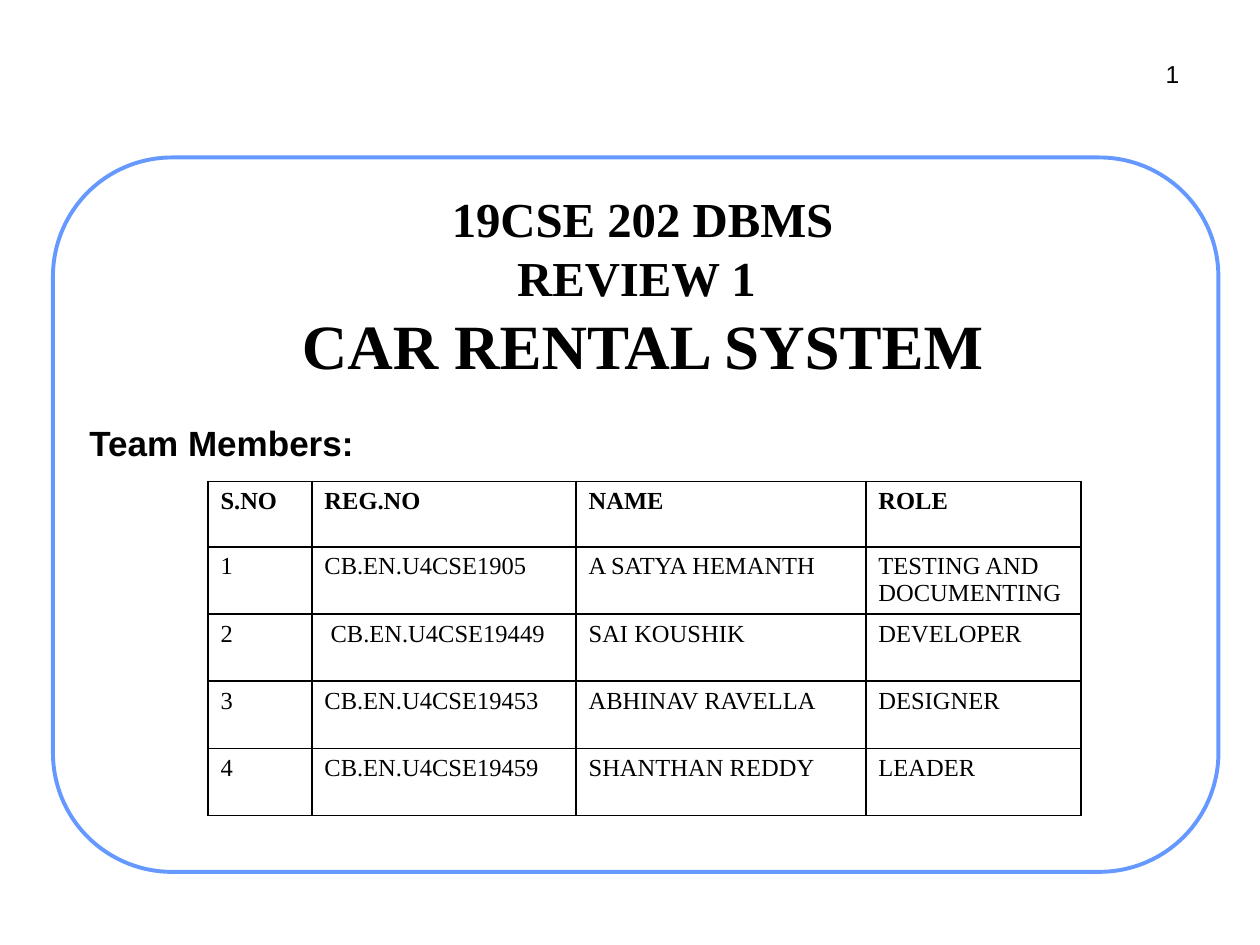
import copy
from lxml import etree
from pptx import Presentation
from pptx import util as u
from pptx.dml import color as c
from pptx.enum import shapes, text
from pptx.oxml import ns

Pt = u.Pt
hues = {"ink": "000000", "paper": "FFFFFF", "frame": "6699FF"}

deck = Presentation()
deck.slide_width, deck.slide_height = Pt(720), Pt(540)
slide = deck.slides.add_slide(deck.slide_layouts[5])
title = slide.shapes.title


def add_run(para, words, size, face, bold=False):
    run = para.add_run()
    run.text = words
    font = run.font
    font.size, font.name, font.bold = Pt(size), face, bold
    font.color.rgb = c.RGBColor.from_string(hues["ink"])
    return run


def set_box(frame, wrap=True):
    frame.word_wrap = wrap
    frame.auto_size = text.MSO_AUTO_SIZE.NONE
    frame.margin_left = frame.margin_right = Pt(3.6)
    frame.margin_top = frame.margin_bottom = Pt(3.6)
    return frame.paragraphs[0]


kinds = shapes.MSO_SHAPE
panels = [
    (kinds.ROUNDED_RECTANGLE, (30.24, 90, 666, 408.24), "frame", 2.25),
    (kinds.RECTANGLE, (102.24, 23.76, 540, 36), "paper", 0.75),
    (kinds.RECTANGLE, (36, 156.24, 637.92, 298.08), None, 0),
]
for kind, place, hue, width in panels:
    panel = slide.shapes.add_shape(kind, *map(Pt, place))
    panel.shadow.inherit = False
    panel.fill.solid()
    panel.fill.fore_color.rgb = c.RGBColor.from_string(hues["paper"])
    if hue:
        panel.line.color.rgb = c.RGBColor.from_string(hues[hue])
        panel.line.width = Pt(width)
    else:
        panel.line.fill.background()

number = slide.shapes.add_textbox(Pt(661.68), Pt(30.24), Pt(15.84), Pt(23.04))
para = set_box(number.text_frame, wrap=False)
para.alignment = text.PP_ALIGN.RIGHT
add_run(para, "1", 14, "Arial")

team = slide.shapes.add_textbox(Pt(47.52), Pt(241.92), Pt(630.72), Pt(279.36))
para = set_box(team.text_frame)
para.line_spacing = 0.8
add_run(para, "Team Members:", 20, "Arial", True)

slide.shapes._spTree.append(title._element)
title.left, title.top = Pt(64.08), Pt(102.96)
title.width, title.height = Pt(606.24), Pt(120.24)
title.text_frame.vertical_anchor = text.MSO_ANCHOR.MIDDLE
para = set_box(title.text_frame)
para.alignment = text.PP_ALIGN.CENTER
for words in ("19CSE 202 DBMS", "REVIEW 1 "):
    run = add_run(para, words, 27.9, "Times New Roman", True)
    para.add_line_break()
    para._p[-1].append(copy.deepcopy(run._r.rPr))
add_run(para, "CAR RENTAL SYSTEM", 36, "Times New Roman", True)

rows = [
    ("S.NO", "REG.NO", "NAME", "ROLE"),
    ("1", "CB.EN.U4CSE1905", "A SATYA HEMANTH", "TESTING AND DOCUMENTING"),
    ("2", " CB.EN.U4CSE19449", "SAI KOUSHIK", "DEVELOPER"),
    ("3", "CB.EN.U4CSE19453", "ABHINAV RAVELLA", "DESIGNER"),
    ("4", "CB.EN.U4CSE19459", "SHANTHAN REDDY", "LEADER"),
]
widths = (59.4, 151, 165.6, 123)
heights = [37.4] + [38.4] * 4
table = slide.shapes.add_table(
    len(rows), len(widths), Pt(118.8), Pt(275.04), Pt(sum(widths)), Pt(sum(heights))
).table
for col, width in zip(table.columns, widths):
    col.width = Pt(width)
for i, (row, height) in enumerate(zip(rows, heights)):
    table.rows[i].height = Pt(height)
    for j, words in enumerate(row):
        cell = table.cell(i, j)
        add_run(cell.text_frame.paragraphs[0], words, 14, "Times New Roman", i == 0)
        props = cell._tc.get_or_add_tcPr()
        for side in ("lnL", "lnR", "lnT", "lnB"):
            edge = etree.SubElement(props, ns.qn("a:" + side), w=str(Pt(1)))
            fill = etree.SubElement(edge, ns.qn("a:solidFill"))
            etree.SubElement(fill, ns.qn("a:srgbClr"), val=hues["ink"])
        cell.fill.background()

deck.save("out.pptx")
